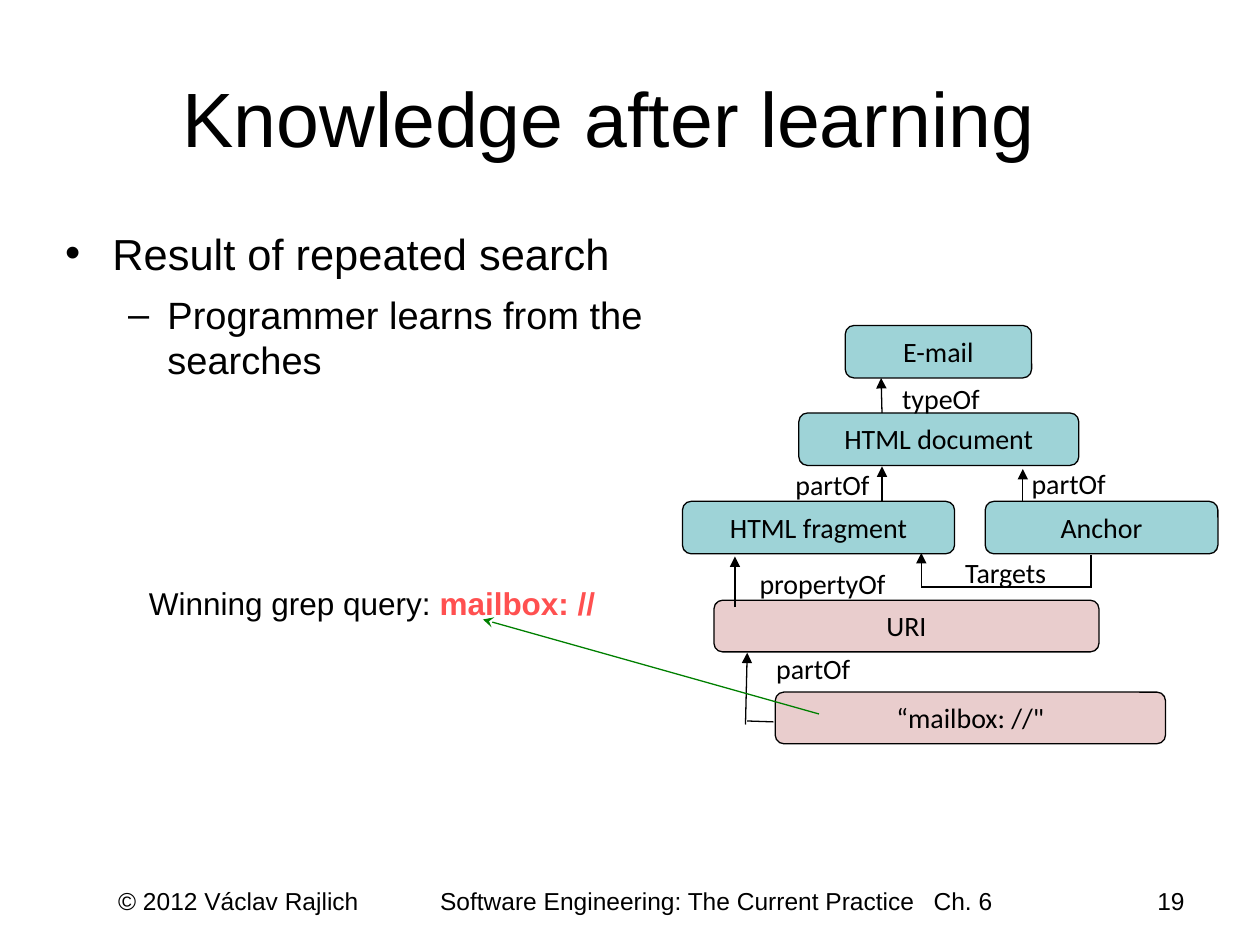
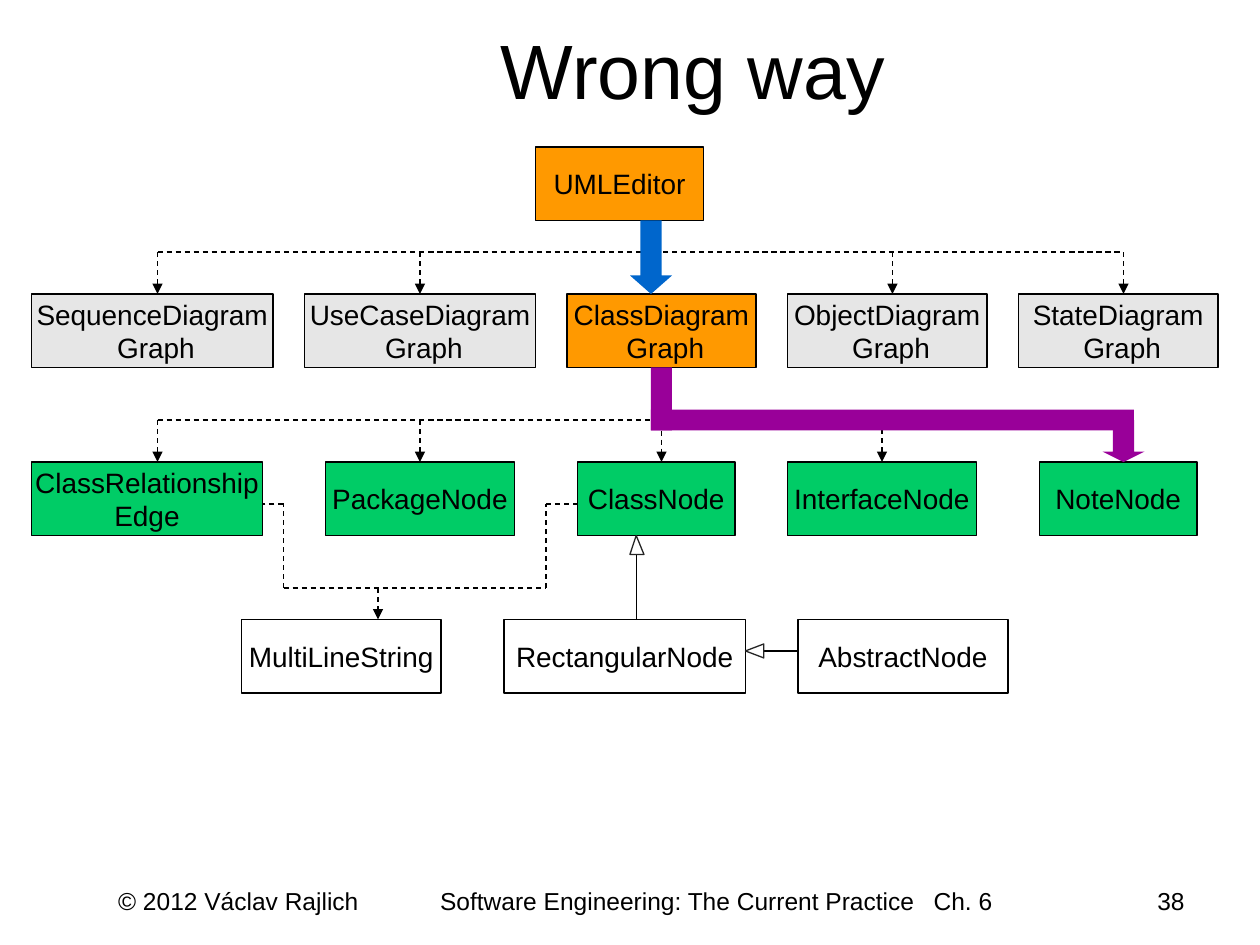
"""Build two lecture slides: a knowledge diagram and a class diagram."""
from dataclasses import dataclass

from lxml.etree import SubElement
from pptx import Presentation
from pptx.dml.color import RGBColor
from pptx.enum.dml import MSO_LINE
from pptx.enum.shapes import MSO_CONNECTOR, MSO_SHAPE
from pptx.enum.text import MSO_ANCHOR, MSO_AUTO_SIZE, PP_ALIGN
from pptx.oxml.ns import qn
from pptx.util import Pt

BLACK, WHITE, OUTLINE = "000000", "FFFFFF", "242424"
TEAL, ROSE, RED, GREEN = "9ED3D7", "E9CDCD", "FF5050", "008000"
ORANGE, GRAY, NODE_GREEN = "FF9900", "E6E6E6", "00CC66"
BLUE, PURPLE = "0066CC", "990099"
SANS, DIAGRAM_FONT = "Arial", "Calibri"
HAIRLINE = 0.75
INSETS = (7.2, 3.6, 7.2, 3.6)
CLASS_HEIGHT = 42
GRAPH_TOP, NODE_TOP, BASE_TOP = 168, 264, 354
GRAPH_BUS, NODE_BUS, STRING_BUS = 144, 240, 336


@dataclass(frozen=True)
class Concept:
    text: str
    left: float
    top: float
    width: float
    height: float
    color: str


@dataclass(frozen=True)
class Label:
    text: str
    left: float
    top: float


@dataclass(frozen=True)
class ClassBox:
    name: str
    left: float
    top: float
    width: float
    color: str | None = None
    second: str = ""


@dataclass(frozen=True)
class Link:
    start: tuple[float, float]
    end: tuple[float, float]
    head: str = ""
    dashed: bool = False
    color: str = BLACK


@dataclass(frozen=True)
class Block:
    kind: MSO_SHAPE
    left: float
    top: float
    width: float
    height: float
    color: str
    head_ratio: float | None = None


CONCEPTS = [
    Concept("E-mail", 483, 186, 106.5, 30, TEAL),
    Concept("HTML document", 456.5, 236, 160, 30, TEAL),
    Concept("HTML fragment", 390, 286.5, 155.5, 30, TEAL),
    Concept("Anchor", 563, 286.5, 133, 30, TEAL),
    Concept("URI", 408, 343, 220, 29.5, ROSE),
    Concept("“mailbox: //\"", 443, 395.5, 223, 29.5, ROSE),
]
RELATIONS = [
    Label("typeOf", 515.5, 218),
    Label("partOf", 454.5, 267),
    Label("partOf", 589.5, 266.5),
    Label("Targets", 551.5, 317.5),
    Label("propertyOf", 434, 324),
    Label("partOf", 443.5, 372.5),
]
CONCEPT_LINKS = [
    Link((504, 236), (503.5, 216), "triangle"),
    Link((504, 286.5), (504, 266.5), "triangle"),
    Link((584.5, 286.5), (584.5, 268), "triangle"),
    Link((623.5, 336), (623.5, 317)),
    Link((624, 335.5), (526.5, 335.5)),
    Link((526.5, 336), (526.5, 316), "triangle"),
    Link((420, 347), (420, 318), "triangle"),
    Link((442, 412.5), (427, 412)),
    Link((426, 414), (427, 373), "triangle"),
    Link((468, 408), (276, 354), "stealth", color=GREEN),
]
CLASSES = [
    ClassBox("UMLEditor", 306, 84, 96, ORANGE),
    ClassBox("SequenceDiagram", 18, GRAPH_TOP, 138, GRAY, "Graph"),
    ClassBox("UseCaseDiagram", 174, GRAPH_TOP, 132, GRAY, "Graph"),
    ClassBox("ClassDiagram", 324, GRAPH_TOP, 108, ORANGE, "Graph"),
    ClassBox("ObjectDiagram", 450, GRAPH_TOP, 114, GRAY, "Graph"),
    ClassBox("StateDiagram", 582, GRAPH_TOP, 114, GRAY, "Graph"),
    ClassBox("ClassRelationship", 18, NODE_TOP, 132, NODE_GREEN, "Edge"),
    ClassBox("PackageNode", 186, NODE_TOP, 108, NODE_GREEN),
    ClassBox("ClassNode", 330, NODE_TOP, 90, NODE_GREEN),
    ClassBox("InterfaceNode", 450, NODE_TOP, 108, NODE_GREEN),
    ClassBox("NoteNode", 594, NODE_TOP, 90, NODE_GREEN),
    ClassBox("MultiLineString", 138, BASE_TOP, 114),
    ClassBox("RectangularNode", 288, BASE_TOP, 138),
    ClassBox("AbstractNode", 456, BASE_TOP, 120),
]
STRING_USERS = [(162, 150), (312, 330)]
INHERITANCE = [Link((456, 372), (426, 372)), Link((363.6, 354), (363.6, 306))]
TRIANGLES = [
    [(363.6, 306), (368, 316.8), (360, 316.8)],
    [(426, 372), (436.5, 376), (436.5, 368)],
]
PATH_BLOCKS = [
    Block(MSO_SHAPE.DOWN_ARROW, 360, 126, 24, 42, BLUE, 0.44),
    Block(MSO_SHAPE.DOWN_ARROW, 630, 240, 24, 24, PURPLE, 0.25),
    Block(MSO_SHAPE.RECTANGLE, 372, 234, 276, 12, PURPLE),
    Block(MSO_SHAPE.RECTANGLE, 372, 210, 12, 36, PURPLE),
]


def paint(target, color: str | None) -> None:
    """Fill a shape, line or font with a hex colour, or clear it."""
    fill = getattr(target, "fill", target)
    if color is None:
        fill.background()
    else:
        fill.solid()
        fill.fore_color.rgb = RGBColor.from_string(color)


def write(para, text: str, *, size: float = 16, font: str = SANS, color: str = BLACK,
          bold: bool = False, align: PP_ALIGN = PP_ALIGN.LEFT) -> None:
    """Add a formatted span to a paragraph."""
    para.alignment = align
    span = para.add_run()
    span.text = text
    span.font.size = Pt(size)
    span.font.name = font
    span.font.bold = bold
    paint(span.font, color)


def set_frame(box, *, insets: tuple[float, ...] = INSETS, wrap: bool = True,
              anchor: MSO_ANCHOR = MSO_ANCHOR.TOP):
    """Set the margins, wrapping and anchor of a box and return its frame."""
    frame = box.text_frame
    frame.auto_size = MSO_AUTO_SIZE.NONE
    frame.word_wrap = wrap
    frame.vertical_anchor = anchor
    frame.margin_left, frame.margin_top, frame.margin_right, frame.margin_bottom = map(Pt, insets)
    return frame


def place(box, left: float, top: float, width: float, height: float) -> None:
    """Move and size a placeholder."""
    box.left, box.top, box.width, box.height = map(Pt, (left, top, width, height))


def add_text(page, left: float, top: float, width: float, height: float, **frame_format):
    """Add a text box and return its first paragraph."""
    box = page.shapes.add_textbox(Pt(left), Pt(top), Pt(width), Pt(height))
    return set_frame(box, **frame_format).paragraphs[0]


def add_block(page, kind: MSO_SHAPE, left: float, top: float, width: float, height: float,
              color: str | None, line: str | None = None):
    """Add a preset shape with a flat fill and an optional outline."""
    shape = page.shapes.add_shape(kind, Pt(left), Pt(top), Pt(width), Pt(height))
    shape.shadow.inherit = False
    paint(shape, color)
    paint(shape.line, line)
    if line:
        shape.line.width = Pt(HAIRLINE)
    return shape


def add_link(page, link: Link) -> None:
    """Draw a straight connector with an optional dash and end arrowhead."""
    connector = page.shapes.add_connector(
        MSO_CONNECTOR.STRAIGHT, *map(Pt, (*link.start, *link.end)))
    connector.line.width = Pt(HAIRLINE)
    paint(connector.line, link.color)
    if link.dashed:
        connector.line.dash_style = MSO_LINE.DASH
    if link.head:
        SubElement(connector.line._get_or_add_ln(), qn("a:tailEnd"), type=link.head)
    SubElement(connector._element.spPr, qn("a:effectLst"))


def add_triangle(page, points: list[tuple[float, float]]) -> None:
    """Draw a hollow inheritance arrowhead."""
    builder = page.shapes.build_freeform(*map(Pt, points[0]))
    builder.add_line_segments([(Pt(x), Pt(y)) for x, y in points[1:]], close=True)
    triangle = builder.convert_to_shape()
    triangle.shadow.inherit = False
    paint(triangle, WHITE)
    paint(triangle.line, OUTLINE)
    triangle.line.width = Pt(HAIRLINE)


def add_bullet(para, mark: str, left: float, hanging: float) -> None:
    """Give a paragraph a bullet and a hanging indent."""
    properties = para._p.get_or_add_pPr()
    properties.set("marL", str(Pt(left)))
    properties.set("indent", str(-Pt(hanging)))
    SubElement(properties, qn("a:buFont"), typeface=SANS)
    SubElement(properties, qn("a:buChar"), char=mark)


def add_page(deck, layout: int, title: str, number: int, bounds: tuple[float, ...],
             anchor: MSO_ANCHOR):
    """Add a slide with its title and footer."""
    page = deck.slides.add_slide(deck.slide_layouts[layout])
    heading = page.shapes.title
    place(heading, *bounds)
    write(set_frame(heading, anchor=anchor).paragraphs[0], title, size=44, align=PP_ALIGN.CENTER)
    footer = add_text(page, 36, 502.5, 564, 37.5, insets=(31.5, 3.6, 7.2, 3.6))
    tabs = SubElement(footer._p.get_or_add_pPr(), qn("a:tabLst"))
    for stop in (184, 466):
        SubElement(tabs, qn("a:tab"), pos=str(Pt(stop)), algn="l")
    write(footer, "© 2012 Václav Rajlich\tSoftware Engineering: The Current Practice\tCh. 6",
          size=14)
    write(add_text(page, 516, 502.5, 168, 37.5), str(number), size=14, align=PP_ALIGN.RIGHT)
    return page


def build_knowledge(deck) -> None:
    """Build the slide on knowledge after learning."""
    page = add_page(deck, 1, "Knowledge after learning", 19, (24, 21.5, 648, 90),
                    MSO_ANCHOR.MIDDLE)
    body = page.placeholders[1]
    place(body, 30, 126, 414, 102)
    frame = set_frame(body)
    result, learning = frame.paragraphs[0], frame.add_paragraph()
    result.space_before = Pt(0)
    add_bullet(result, "•", 27, 27)
    write(result, "Result of repeated search", size=24.8)
    learning.level = 1
    learning.space_before = Pt(7)
    add_bullet(learning, "–", 58.5, 22.5)
    write(learning, "Programmer learns from the searches", size=21.7)
    query = add_text(page, 78, 330, 276, 29)
    write(query, "Winning grep query: ", size=18)
    write(query, "mailbox: //", size=18, color=RED, bold=True)
    for concept in CONCEPTS:
        box = add_block(page, MSO_SHAPE.ROUNDED_RECTANGLE, concept.left, concept.top,
                        concept.width, concept.height, concept.color, BLACK)
        write(set_frame(box).paragraphs[0], concept.text, font=DIAGRAM_FONT,
              align=PP_ALIGN.CENTER)
    for link in CONCEPT_LINKS:
        add_link(page, link)
    for label in RELATIONS:
        para = add_text(page, label.left, label.top, 74, 19.5, insets=(0, 0, 0, 0))
        write(para, label.text, font=DIAGRAM_FONT)


def add_bus(page, level: float, drops: list[float], bottom: float) -> None:
    """Draw a dashed horizontal line with arrows dropping from it."""
    add_link(page, Link((drops[0], level), (drops[-1], level), dashed=True))
    for x in drops:
        add_link(page, Link((x, level), (x, bottom), "triangle", dashed=True))


def add_class(page, item: ClassBox) -> None:
    """Draw a class box with its name on one or two lines."""
    box = add_block(page, MSO_SHAPE.RECTANGLE, item.left, item.top, item.width, CLASS_HEIGHT,
                    item.color, BLACK)
    frame = set_frame(box, wrap=False, anchor=MSO_ANCHOR.MIDDLE)
    write(frame.paragraphs[0], item.name, align=PP_ALIGN.CENTER)
    if item.second:
        para = frame.add_paragraph()
        if item.second == "Graph":
            para._p.get_or_add_pPr().set("marL", str(Pt(4.4)))
        write(para, item.second, align=PP_ALIGN.CENTER)


def build_wrong_way(deck) -> None:
    """Build the class diagram slide."""
    page = add_page(deck, 5, "Wrong way", 38, (72, 21.5, 648, 47.5), MSO_ANCHOR.BOTTOM)
    for item in CLASSES:
        add_class(page, item)
    add_link(page, Link((372, 126), (372, GRAPH_TOP), "triangle", dashed=True))
    add_bus(page, GRAPH_BUS, [90, 240, 510, 642], GRAPH_TOP)
    add_link(page, Link((378, 210), (378, NODE_TOP), "triangle", dashed=True))
    add_bus(page, NODE_BUS, [90, 240, 504, 642], NODE_TOP)
    add_link(page, Link((162, STRING_BUS), (312, STRING_BUS), dashed=True))
    add_link(page, Link((216, STRING_BUS), (216, BASE_TOP), "triangle", dashed=True))
    for x, edge in STRING_USERS:
        add_link(page, Link((x, STRING_BUS), (x, 288), dashed=True))
        add_link(page, Link((x, 288), (edge, 288), dashed=True))
    for link in INHERITANCE:
        add_link(page, link)
    for points in TRIANGLES:
        add_triangle(page, points)
    for block in PATH_BLOCKS:
        shape = add_block(page, block.kind, block.left, block.top, block.width, block.height,
                          block.color)
        if block.head_ratio:
            shape.adjustments[1] = block.head_ratio


def main() -> None:
    """Build and save the deck."""
    deck = Presentation()
    deck.slide_width, deck.slide_height = Pt(720), Pt(540)
    build_knowledge(deck)
    build_wrong_way(deck)
    deck.save("out.pptx")


if __name__ == "__main__":
    main()
